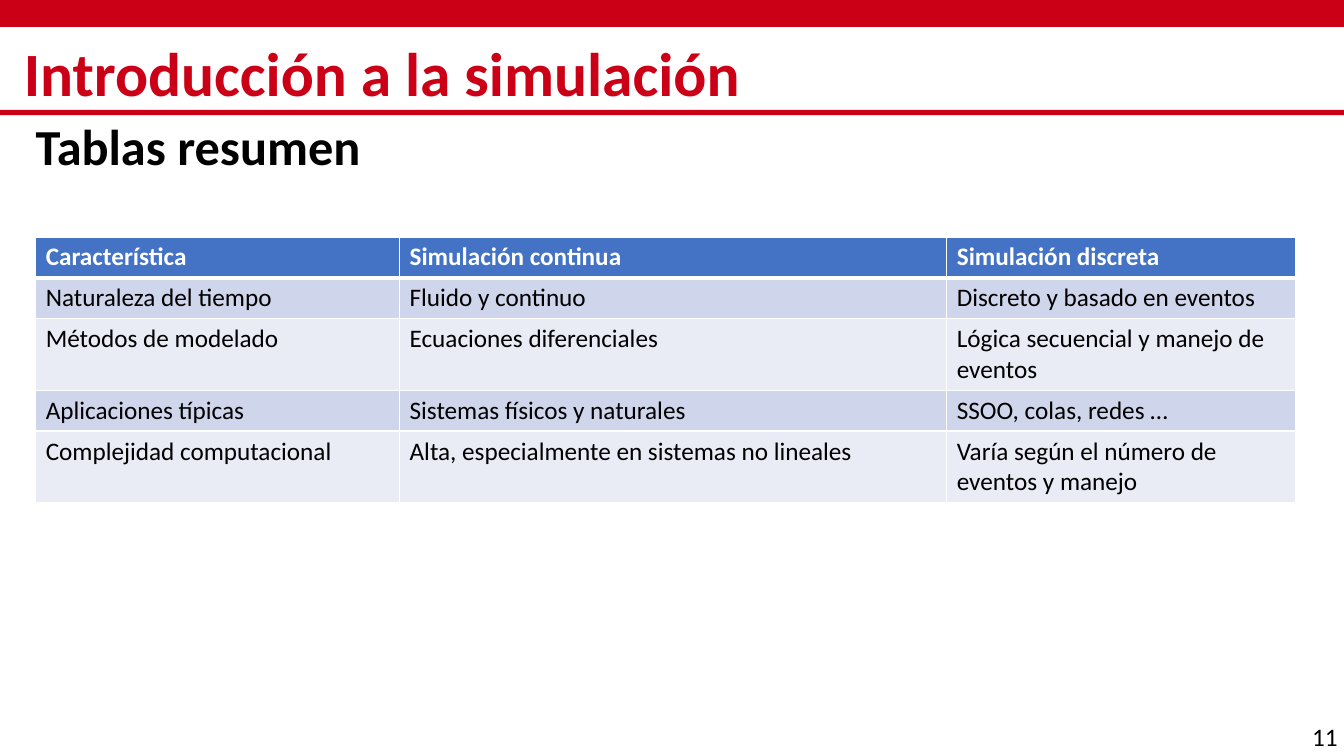
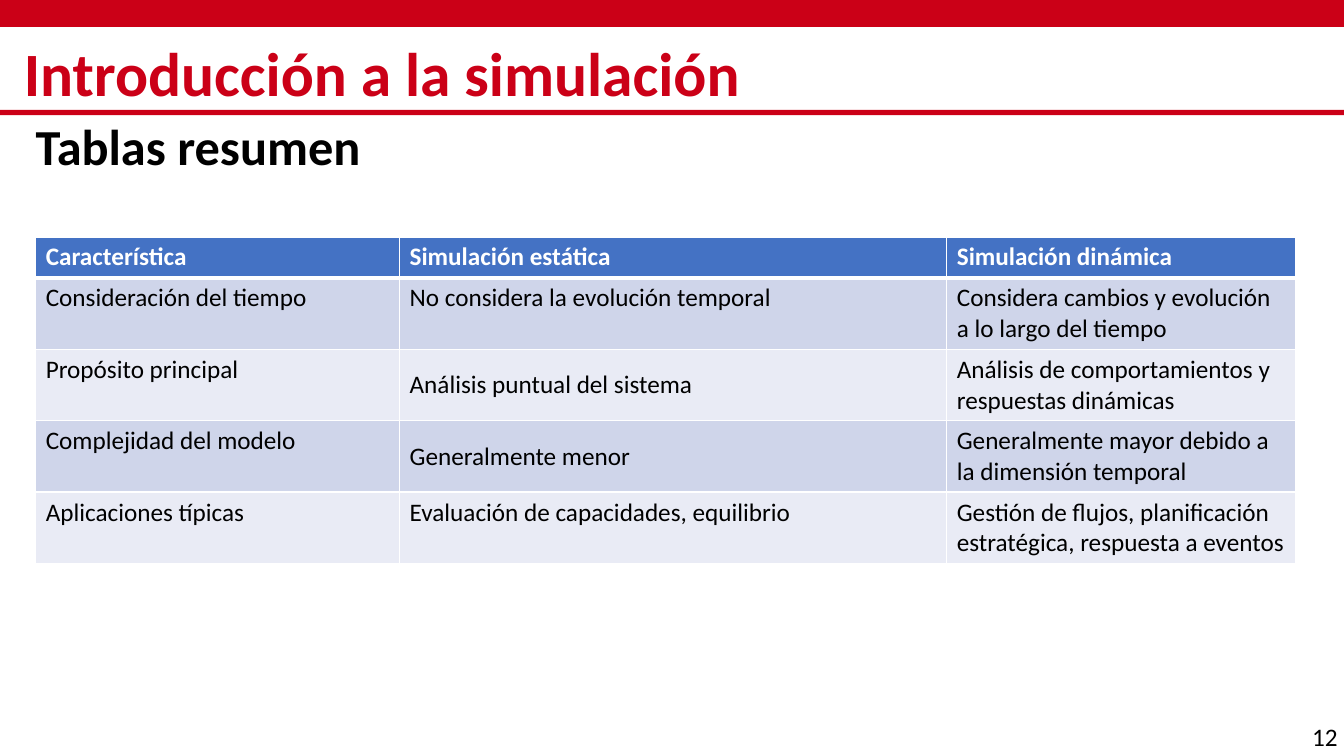
from lxml.etree import SubElement
from pptx import Presentation
from pptx.dml.color import RGBColor
from pptx.enum.shapes import MSO_SHAPE as Shape
from pptx.enum.text import MSO_ANCHOR as Anchor
from pptx.oxml.ns import qn
from pptx.util import Cm, Pt

COLORS = {
    "red": "CB0017",
    "black": "000000",
    "white": "FFFFFF",
    "header": "4472C4",
    "odd_row": "CFD5EA",
    "even_row": "E9EBF5",
}
FONT = "Calibri"
WIDTH, HEIGHT = 33.87, 19.05
COLUMN_WIDTHS = (9.17, 13.79, 8.79)
LINE_HEIGHT, CELL_PADDING = 0.77, 0.26


def rgb(name):
    return RGBColor.from_string(COLORS[name])


class Deck:
    def __init__(self):
        self.presentation = Presentation()
        self.presentation.slide_width = Cm(WIDTH)
        self.presentation.slide_height = Cm(HEIGHT)
        self.slide = None

    def add_slide(self, title, subtitle, number):
        layout = self.presentation.slide_layouts[6]
        self.slide = self.presentation.slides.add_slide(layout)
        self.band(0, 0.68)
        self.band(2.77, 0.13)
        self.heading(title, (0.6, 1, 32.64, 1.85), 44, "red")
        self.heading(subtitle, (0.9, 2.82, 31.93, 1.9), 36, "black", space_before=10)
        self.text(str(number), (32.82, 18.06, 1.45, 1.02), 18, "black")

    def band(self, top, height):
        shape = self.slide.shapes.add_shape(
            Shape.RECTANGLE, 0, Cm(top), Cm(WIDTH), Cm(height))
        shape.shadow.inherit = False
        shape.fill.solid()
        shape.fill.fore_color.rgb = rgb("red")
        shape.line.fill.background()

    def style(self, paragraph, size, color, bold=False):
        font = paragraph.font
        font.name, font.size, font.bold = FONT, Pt(size), bold
        font.color.rgb = rgb(color)

    def text(self, text, box, size, color, bold=False):
        frame = self.slide.shapes.add_textbox(*map(Cm, box)).text_frame
        frame.word_wrap = True
        frame.text = text
        self.style(frame.paragraphs[0], size, color, bold)
        return frame

    def heading(self, text, box, size, color, space_before=0):
        frame = self.text(text, box, size, color, bold=True)
        frame.vertical_anchor = Anchor.MIDDLE
        frame.margin_left = frame.margin_right = 0
        frame.margin_top = frame.margin_bottom = 0
        paragraph = frame.paragraphs[0]
        paragraph.line_spacing = 0.9
        paragraph.space_before = Pt(space_before)

    def borders(self, cell, bottom, top):
        properties = cell._tc.get_or_add_tcPr()
        for side, width in (("L", 1), ("R", 1), ("T", top), ("B", bottom)):
            line = SubElement(properties, qn(f"a:ln{side}"), w=str(Pt(width)))
            fill = SubElement(line, qn("a:solidFill"))
            SubElement(fill, qn("a:srgbClr"), val=COLORS["white"])

    def table(self, rows, line_counts, centered=()):
        heights = [Cm(CELL_PADDING + LINE_HEIGHT * count) for count in line_counts]
        table = self.slide.shapes.add_table(
            len(rows), len(COLUMN_WIDTHS), Cm(0.9), Cm(5.97),
            Cm(sum(COLUMN_WIDTHS)), sum(heights)).table
        table.horz_banding = False
        for column, width in zip(table.columns, COLUMN_WIDTHS):
            column.width = Cm(width)
        for row_index, values in enumerate(rows):
            table.rows[row_index].height = heights[row_index]
            is_header = row_index == 0
            fill = "header" if is_header else ("even_row", "odd_row")[row_index % 2]
            for column_index, value in enumerate(values):
                cell = table.cell(row_index, column_index)
                cell.text = value
                self.borders(cell, bottom=3 if is_header else 1,
                             top=3 if row_index == 1 else 1)
                cell.fill.solid()
                cell.fill.fore_color.rgb = rgb(fill)
                if (row_index, column_index) in centered:
                    cell.vertical_anchor = Anchor.MIDDLE
                self.style(cell.text_frame.paragraphs[0], 18,
                           "white" if is_header else "black", is_header)


def main():
    title, subtitle = "Introducción a la simulación", "Tablas resumen"
    deck = Deck()

    deck.add_slide(title, subtitle, 11)
    deck.table([
        ("Característica", "Simulación continua", "Simulación discreta"),
        ("Naturaleza del tiempo", "Fluido y continuo", "Discreto y basado en eventos"),
        ("Métodos de modelado", "Ecuaciones diferenciales",
         "Lógica secuencial y manejo de eventos"),
        ("Aplicaciones típicas", "Sistemas físicos y naturales", "SSOO, colas, redes …"),
        ("Complejidad computacional", "Alta, especialmente en sistemas no lineales",
         "Varía según el número de eventos y manejo"),
    ], line_counts=(1, 1, 2, 1, 2))

    deck.add_slide(title, subtitle, 12)
    deck.table([
        ("Característica", "Simulación estática", "Simulación dinámica"),
        ("Consideración del tiempo", "No considera la evolución temporal",
         "Considera cambios y evolución a lo largo del tiempo"),
        ("Propósito principal", "Análisis puntual del sistema",
         "Análisis de comportamientos y respuestas dinámicas"),
        ("Complejidad del modelo", "Generalmente menor",
         "Generalmente mayor debido a la dimensión temporal"),
        ("Aplicaciones típicas", "Evaluación de capacidades, equilibrio",
         "Gestión de flujos, planificación estratégica, respuesta a eventos"),
    ], line_counts=(1, 2, 2, 2, 2), centered={(2, 1), (2, 2), (3, 1)})

    deck.presentation.save("out.pptx")


if __name__ == "__main__":
    main()
